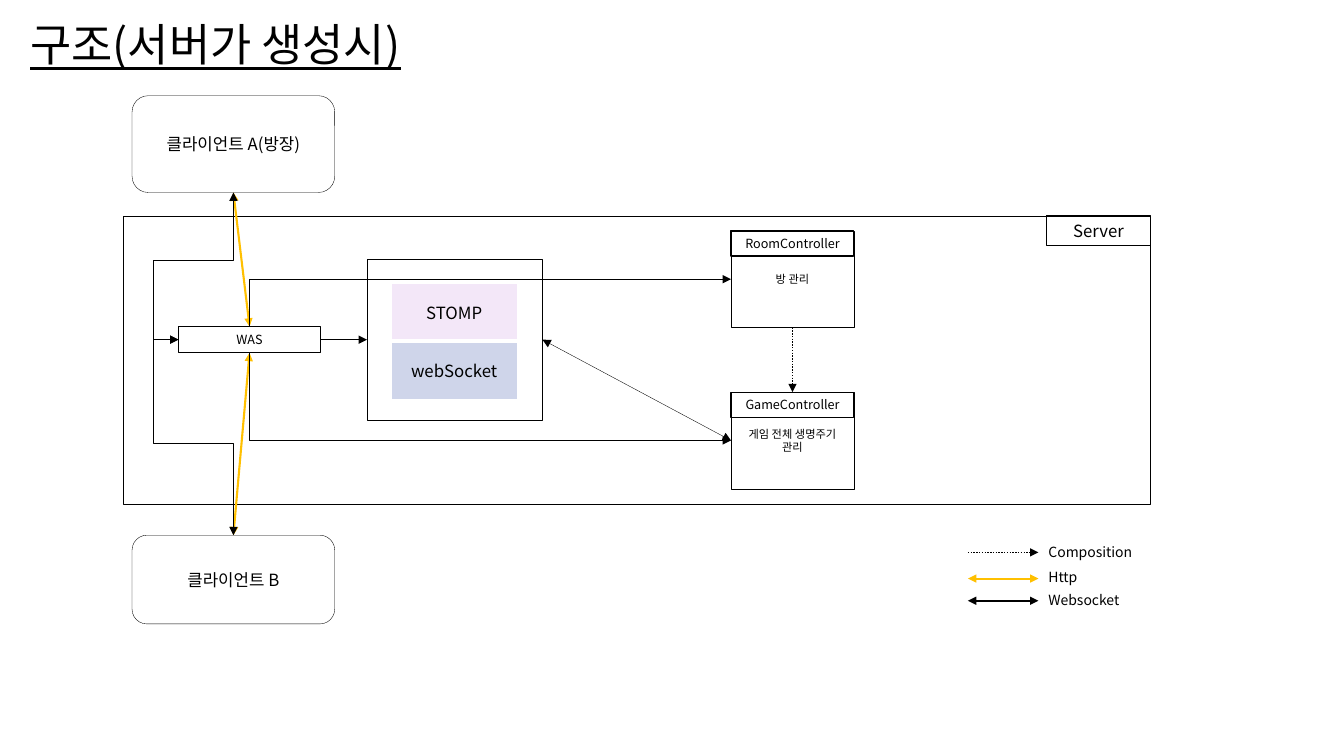
from dataclasses import dataclass
from lxml import etree
from pptx import Presentation
from pptx.dml.color import RGBColor
from pptx.enum.dml import MSO_LINE
from pptx.enum.shapes import MSO_CONNECTOR, MSO_SHAPE
from pptx.enum.text import MSO_ANCHOR, PP_ALIGN
from pptx.oxml.ns import qn
from pptx.util import Inches, Pt

RECTANGLE, ROUNDED = MSO_SHAPE.RECTANGLE, MSO_SHAPE.ROUNDED_RECTANGLE
STRAIGHT, ELBOW = MSO_CONNECTOR.STRAIGHT, MSO_CONNECTOR.ELBOW
LEFT, CENTER, MIDDLE = PP_ALIGN.LEFT, PP_ALIGN.CENTER, MSO_ANCHOR.MIDDLE
DOTTED = MSO_LINE.ROUND_DOT


@dataclass(frozen=True)
class Theme:
    font: str = "Noto Sans CJK KR"
    ink: str = "000000"
    http: str = "FFC000"
    stomp: str = "F3E7F8"
    websocket: str = "CFD5EA"
    border: str = "FFFFFF"
    title: int = 32
    body: int = 12
    legend: int = 10
    label: int = 9
    note: int = 8
    hairline: float = 0.25
    elbow: float = 0.5
    frame: float = 0.75
    dotted: float = 1
    arrow: float = 1.5


THEME = Theme()


@dataclass(frozen=True)
class Box:
    left: float
    top: float
    width: float
    height: float

    def at(self, across, down):
        """Point at the given fractions of the box."""
        return self.left + across * self.width, self.top + down * self.height

    def inches(self):
        return [Inches(v) for v in (self.left, self.top, self.width, self.height)]


def write(frame, text, size, align=CENTER, underline=None):
    frame.word_wrap = True
    frame.vertical_anchor = MIDDLE
    paragraph = frame.paragraphs[0]
    paragraph.alignment = align
    run = paragraph.add_run()
    run.text = text
    font = run.font
    font.name, font.size, font.underline = THEME.font, Pt(size), underline
    font.color.rgb = RGBColor.from_string(THEME.ink)
    etree.SubElement(run._r.rPr, qn("a:ea"), typeface=THEME.font)
    return paragraph


def add_frame(slide, box, text="", size=THEME.body, weight=THEME.hairline, kind=RECTANGLE):
    shape = slide.shapes.add_shape(kind, *box.inches())
    shape.shadow.inherit = False
    shape.fill.background()
    shape.line.color.rgb = RGBColor.from_string(THEME.ink)
    shape.line.width = Pt(weight)
    if text:
        write(shape.text_frame, text, size)


def add_text(slide, box, text, size, underline=None):
    text_box = slide.shapes.add_textbox(*box.inches())
    return write(text_box.text_frame, text, size, LEFT, underline)


def add_arrow(slide, start, end, color, weight, both=False, dash=None, kind=STRAIGHT):
    connector = slide.shapes.add_connector(kind, *[Inches(v) for v in (*start, *end)])
    line = connector.line
    line.color.rgb = RGBColor.from_string(color)
    line.width = Pt(weight)
    if dash:
        line.dash_style = dash
    properties = connector._element.spPr
    outline = properties.find(qn("a:ln"))
    for name in ("a:headEnd", "a:tailEnd") if both else ("a:tailEnd",):
        etree.SubElement(outline, qn(name), type="triangle")
    etree.SubElement(properties, qn("a:effectLst"))
    return connector


def add_elbow(slide, start, end, preset, rotation, flips="", adjustments=(), both=False):
    """Quarter-turned elbow: its unrotated frame swaps width and height."""
    (x1, y1), (x2, y2) = start, end
    middle_x, middle_y = (x1 + x2) / 2, (y1 + y2) / 2
    half_width, half_height = abs(y2 - y1) / 2, abs(x2 - x1) / 2
    connector = add_arrow(
        slide, (middle_x - half_width, middle_y - half_height),
        (middle_x + half_width, middle_y + half_height),
        THEME.ink, THEME.elbow, both, kind=ELBOW)
    properties = connector._element.spPr
    transform = properties.find(qn("a:xfrm"))
    transform.set("rot", str(rotation * 60000))
    for flip in flips:
        transform.set("flip" + flip, "1")
    geometry = properties.find(qn("a:prstGeom"))
    geometry.set("prst", preset)
    guides = geometry.find(qn("a:avLst"))
    for number, value in enumerate(adjustments, 1):
        etree.SubElement(guides, qn("a:gd"), name=f"adj{number}",
                         fmla=f"val {round(value * 100000)}")


def add_border(cell, side, weight):
    line = etree.SubElement(cell._tc.get_or_add_tcPr(), qn(f"a:ln{side}"), w=str(Pt(weight)))
    fill = etree.SubElement(line, qn("a:solidFill"))
    etree.SubElement(fill, qn("a:srgbClr"), val=THEME.border)


def add_title(slide, box):
    paragraph = add_text(slide, box, "구조(서버가 생성시)", THEME.title, True)
    paragraph.line_spacing = 0.9


def add_protocols(slide, box):
    add_frame(slide, box)
    grid = Box(box.left + 0.24, box.top + 0.24, 1.25, 1.15)
    table = slide.shapes.add_table(2, 1, *grid.inches()).table
    table.first_row = table.horz_banding = False
    rows = (("STOMP", THEME.stomp, 1, 3), ("webSocket", THEME.websocket, 3, 1))
    for index, (name, color, above, below) in enumerate(rows):
        cell = table.cell(index, 0)
        for side, weight in zip("LRTB", (1, 1, above, below)):
            add_border(cell, side, weight)
        cell.fill.solid()
        cell.fill.fore_color.rgb = RGBColor.from_string(color)
        write(cell.text_frame, name, THEME.body)
        cell.vertical_anchor = MIDDLE


def add_server(slide, box):
    add_frame(slide, box)
    tag = Box(box.left + box.width - 1.03, box.top, 1.03, 0.3)
    add_frame(slide, tag, "Server", weight=THEME.frame)


def add_controller(slide, box, name, duty):
    add_frame(slide, box, duty, THEME.note)
    header = Box(box.left, box.top, box.width, 0.25)
    add_frame(slide, header, name, THEME.label, THEME.frame)


def add_legend(slide, box):
    entries = (
        ("Composition", 0, 0.14, THEME.ink, THEME.dotted, False, DOTTED),
        ("Http", 0.25, 0.4, THEME.http, THEME.arrow, True, None),
        ("Websocket", 0.48, 0.62, THEME.ink, THEME.arrow, True, None),
    )
    text_left = box.left + 0.7
    for name, text_top, line_top, color, weight, both, dash in entries:
        y = box.top + line_top
        add_arrow(slide, (box.left, y), (text_left, y), color, weight, both, dash)
        label = Box(text_left, box.top + text_top, box.width - 0.7, 0.27)
        add_text(slide, label, name, THEME.legend)


def add_links(slide, host, guest, was, protocols, room, game):
    host_end, guest_end = host.at(0.5, 1), guest.at(0.5, 0)
    was_left, was_top, was_bottom = was.at(0, 0.5), was.at(0.5, 0), was.at(0.5, 1)
    room_left, game_left = room.at(0, 0.5), game.at(0, 0.5)
    # Controllers
    add_arrow(slide, game_left, protocols.at(1, 0.5), THEME.ink, THEME.hairline, True)
    add_arrow(slide, room.at(0.5, 1), game.at(0.5, 0), THEME.ink, THEME.dotted, dash=DOTTED)
    # Http
    add_arrow(slide, host_end, was_top, THEME.http, THEME.arrow, True)
    add_arrow(slide, was_bottom, guest_end, THEME.http, THEME.arrow, True)
    # Websocket
    add_arrow(slide, was.at(1, 0.5), protocols.at(0, 0.5), THEME.ink, THEME.elbow)
    add_elbow(slide, was_bottom, game_left, "bentConnector2", 270, "H")
    add_elbow(slide, host_end, was_left, "bentConnector4", 90, "", (0.46, 1.46), True)
    add_elbow(slide, guest_end, was_left, "bentConnector4", 270, "V", (0.47, 1.45), True)
    add_elbow(slide, was_top, room_left, "bentConnector2", 90, "HV")


def build_structure(slide):
    host, guest = Box(1.31, 0.95, 2.01, 0.96), Box(1.31, 5.31, 2.01, 0.88)
    was, protocols = Box(1.77, 3.24, 1.41, 0.26), Box(3.64, 2.57, 1.74, 1.6)
    room, game = Box(7.25, 2.29, 1.22, 0.96), Box(7.25, 3.89, 1.22, 0.96)
    add_title(slide, Box(0.2, 0.15, 10.63, 0.64))
    add_protocols(slide, protocols)
    add_server(slide, Box(1.22, 2.14, 10.19, 2.86))
    add_frame(slide, host, "클라이언트 A(방장)", kind=ROUNDED)
    add_frame(slide, guest, "클라이언트 B", kind=ROUNDED)
    add_controller(slide, room, "RoomController", "방 관리")
    add_controller(slide, game, "GameController", "게임 전체 생명주기 관리")
    add_frame(slide, was, "WAS", THEME.label, THEME.frame)
    add_links(slide, host, guest, was, protocols, room, game)
    add_legend(slide, Box(9.6, 5.34, 1.74, 0.75))


presentation = Presentation()
presentation.slide_width, presentation.slide_height = Inches(13.33), Inches(7.5)
build_structure(presentation.slides.add_slide(presentation.slide_layouts[6]))
presentation.save("out.pptx")
